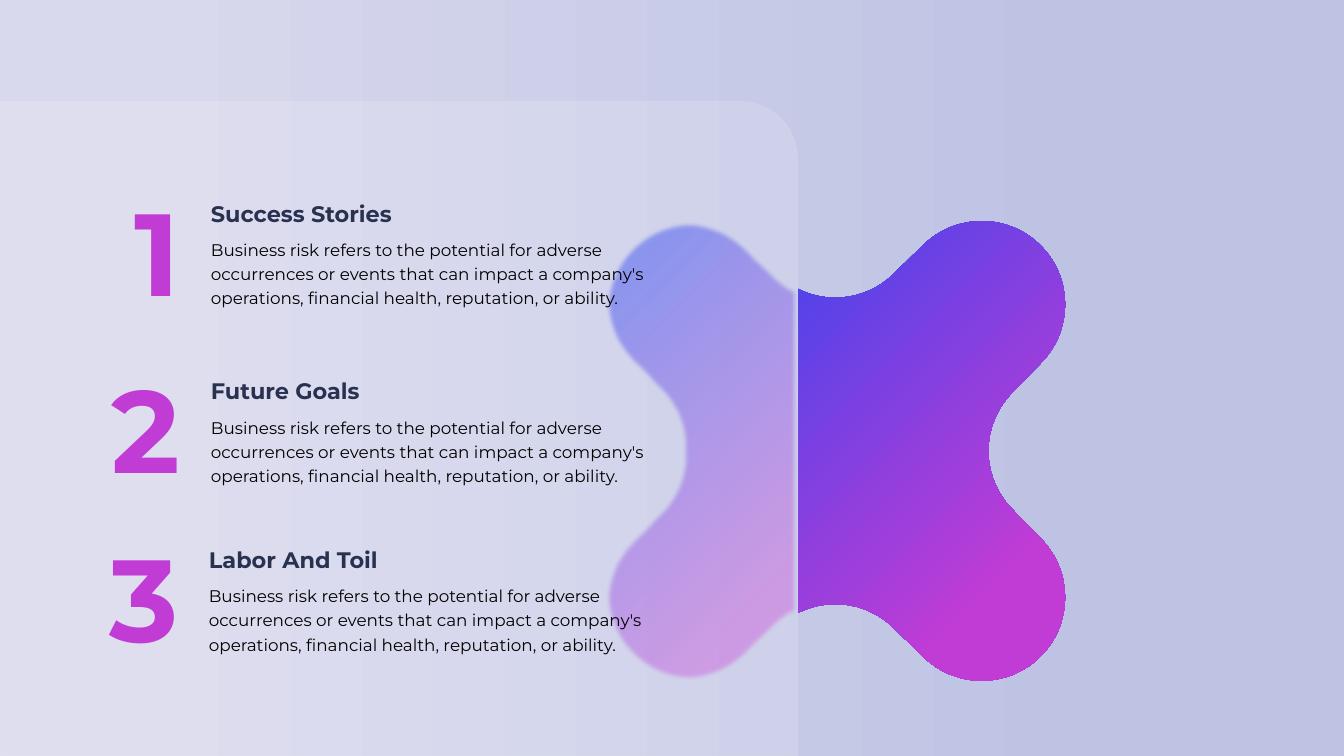
from math import asin, cos, degrees, radians, sin, sqrt, tan

from lxml.etree import SubElement
from pptx import Presentation
from pptx.dml.color import RGBColor
from pptx.enum.shapes import MSO_SHAPE as Shape
from pptx.enum.text import MSO_AUTO_SIZE as AutoSize, PP_ALIGN as Align
from pptx.oxml.ns import qn
from pptx.util import Inches, Pt

# Content: heading, left and top of each entry
RISK = ("Business risk refers to the potential for adverse occurrences or events "
        "that can impact a company's operations, financial health, reputation, or ability.")
ENTRIES = [
    ("Success Stories", 3.04, 2.93),
    ("Future Goals", 3.04, 5.57),
    ("Labor And Toil", 3.01, 8.08),
]

# Style: gradients are (position in percent, colour)
WIDTH, HEIGHT = 20, 11.25
FONT, NAVY, BLACK, WHITE = "Montserrat", "283250", "000000", "FFFFFF"
PALE = [(11, "D9D9ED"), (80, "BEC3E4")]
DIGIT = [(11, "C13CD5"), (80, "1C46F2")]
GLOW = [(17, "C13CD5"), (100, "1C46F2")]

# Panel and blob geometry
PANEL_TOP, PANEL_RIGHT = 1.51, 11.87
CENTRE_X, CENTRE_Y = 12.43, 6.71
RADIUS, LOBE, NOTCH = 1.24, 2.18, 3.52
REACH = LOBE + RADIUS
UNITS = 1000  # path units per inch


def rgb(colour):
    return RGBColor.from_string(colour)


def paint_gradient(fill, stops):
    fill.gradient()
    fill.gradient_angle = 0
    for stop, (position, colour) in zip(fill.gradient_stops, stops):
        stop.position = position / 100
        stop.color.rgb = rgb(colour)


def set_alpha(element, *percents):
    for colour, percent in zip(element.iter(qn("a:srgbClr")), percents):
        SubElement(colour, qn("a:alpha"), val=str(percent * 1000))


def arc(distance, direction, start, sweep):
    """Bezier points of an arc whose centre lies off the blob's centre."""
    x = CENTRE_X + distance * cos(radians(direction))
    y = CENTRE_Y + distance * sin(radians(direction))
    handle = 4 / 3 * tan(radians(sweep) / 4)
    a, b = radians(start), radians(start + sweep)
    unit = [(cos(a), sin(a)),
            (cos(a) - handle * sin(a), sin(a) + handle * cos(a)),
            (cos(b) + handle * sin(b), sin(b) - handle * cos(b)),
            (cos(b), sin(b))]
    return [(x + RADIUS * u, y + RADIUS * v) for u, v in unit]


def lobe(turn):
    return [arc(LOBE * sqrt(2), turn, start, 90) for start in (turn - 90, turn)]


def notch(turn, start=-135, sweep=-90):
    return arc(NOTCH, turn, turn + start, sweep)


def add_blob(shapes, arcs, right):
    # Frame first, then the curved outline inside it
    left, top = CENTRE_X - REACH, CENTRE_Y - REACH
    builder = shapes.build_freeform(left * UNITS, top * UNITS, scale=Inches(1) / UNITS)
    builder.add_line_segments([(right * UNITS, (top + 2 * REACH) * UNITS)])
    blob = builder.convert_to_shape()
    outline = next(blob._element.iter(qn("a:path")))
    for step in list(outline):
        outline.remove(step)

    def draw(tag, points):
        step = SubElement(outline, qn(tag))
        for x, y in points:
            SubElement(step, qn("a:pt"), x=str(round((x - left) * UNITS)),
                       y=str(round((y - top) * UNITS)))

    end = None
    for first, *curve in arcs:
        if end is None:
            draw("a:moveTo", [first])
        elif abs(end[0] - first[0]) > 0.01:
            draw("a:lnTo", [first])
        draw("a:cubicBezTo", curve)
        end = curve[-1]
    SubElement(outline, qn("a:close"))

    blob.shadow.inherit = False
    blob.line.fill.background()
    paint_gradient(blob.fill, GLOW)
    # Radial gradient spreading from the lower right corner
    gradient = blob._element.spPr.find(qn("a:gradFill"))
    gradient.remove(gradient.find(qn("a:lin")))
    radial = SubElement(gradient, qn("a:path"), path="circle")
    SubElement(radial, qn("a:fillToRect"), l="100000", t="100000")
    return blob


def add_panel(shapes, rounding):
    panel = shapes.add_shape(Shape.ROUND_1_RECTANGLE, 0, Inches(PANEL_TOP),
                             Inches(PANEL_RIGHT), Inches(HEIGHT - PANEL_TOP))
    panel.adjustments[0] = rounding
    panel.shadow.inherit = False
    panel.line.fill.background()
    return panel


def add_text(shapes, text, left, top, width, height, size, bold=False, colour=None):
    box = shapes.add_textbox(*map(Inches, (left, top, width, height)))
    frame = box.text_frame
    frame.word_wrap = True
    frame.auto_size = AutoSize.SHAPE_TO_FIT_TEXT
    frame.text = text
    paragraph = frame.paragraphs[0]
    font = paragraph.runs[0].font
    font.name, font.size, font.bold = FONT, Pt(size), bold
    if colour:
        font.color.rgb = rgb(colour)
    return paragraph


deck = Presentation()
deck.slide_width, deck.slide_height = Inches(WIDTH), Inches(HEIGHT)
slide = deck.slides.add_slide(deck.slide_layouts[6])
paint_gradient(slide.background.fill, PALE)

# Bright blob behind the panel
whole = []
for turn in (-45, 45, 135, 225):
    whole += [*lobe(turn), notch(turn + 45)]
add_blob(slide.shapes, whole, CENTRE_X + REACH)

# Frosted glass: base showing the background, blurred blob, white sheen
glass = slide.shapes.add_group_shape().shapes
base = add_panel(glass, 0.089)
base._element.set("useBgFill", "1")

cut = degrees(asin((CENTRE_X - PANEL_RIGHT) / RADIUS))
covered = [notch(90, 180 - cut, cut - 45), *lobe(135), notch(180),
           *lobe(225), notch(270, -135, cut - 45)]
blurred = add_blob(glass, covered, PANEL_RIGHT)
set_alpha(blurred._element.spPr, 45, 56)
effects = blurred._element.spPr.find(qn("a:effectLst"))
SubElement(effects, qn("a:softEdge"), rad=str(Pt(5)))

sheen = add_panel(glass, 0.088)
sheen.fill.solid()
sheen.fill.fore_color.rgb = rgb(WHITE)
sheen.line.color.rgb = rgb(WHITE)
sheen.line.width = Pt(1.5)
set_alpha(sheen._element.spPr, 15, 5)

# Numbered entries
for number, (heading, left, top) in enumerate(ENTRIES, 1):
    add_text(slide.shapes, heading, left, top, 4.49, 0.5, 24, True, NAVY)
    body = add_text(slide.shapes, RISK, left, top + 0.53, 6.84, 1.19, 18, colour=BLACK)
    body.line_spacing = 1.2
    digit = add_text(slide.shapes, str(number), left - 1.89, top - 0.31, 1.63, 2.2, 125, True)
    digit.alignment = Align.RIGHT
    run = digit.runs[0]
    paint_gradient(run.font.fill, DIGIT)
    run.font._element.set("spc", "-300")

deck.save("out.pptx")
